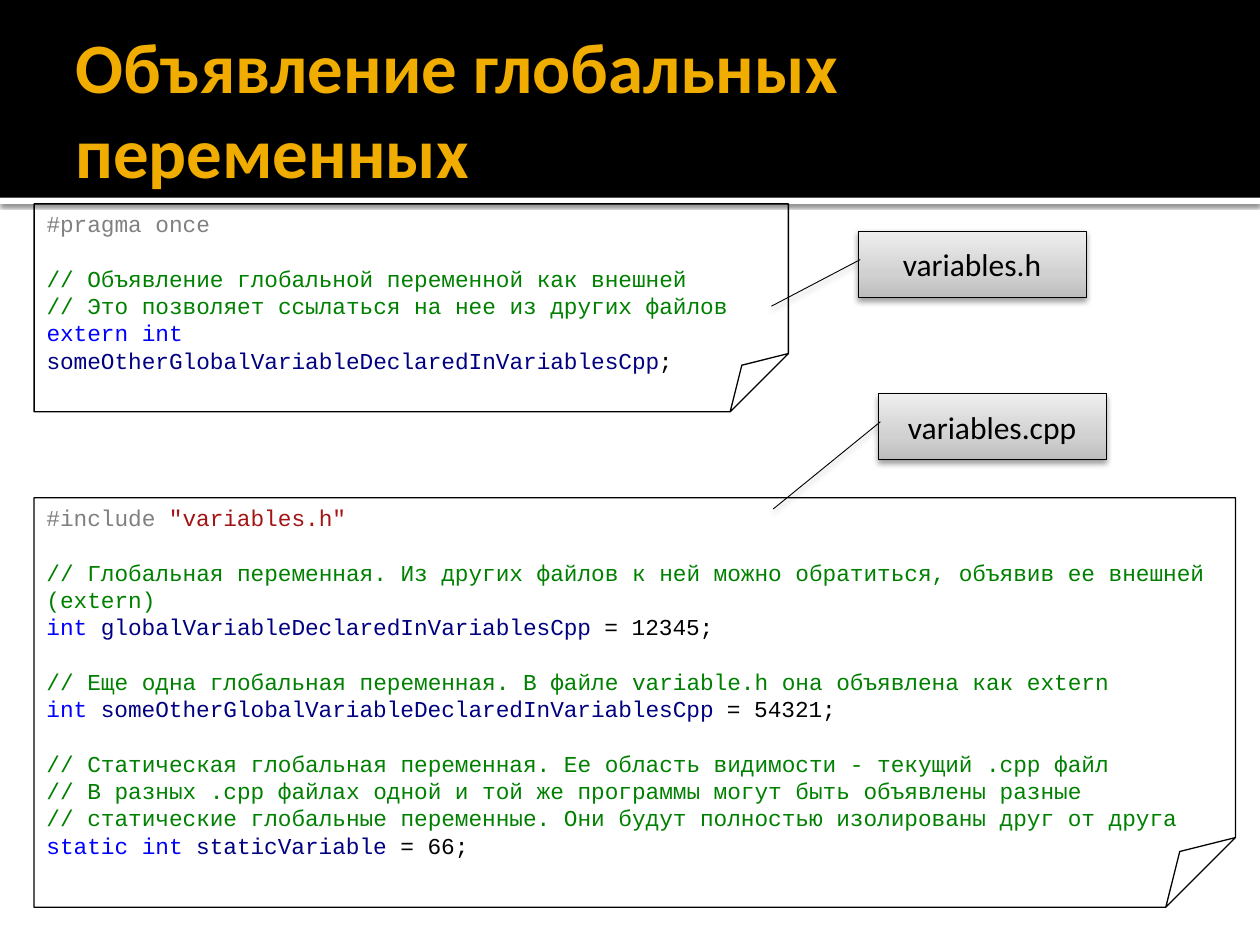
from dataclasses import dataclass

from lxml import etree
from pptx import Presentation
from pptx.dml.color import RGBColor
from pptx.enum.shapes import MSO_SHAPE
from pptx.enum.text import MSO_ANCHOR, MSO_AUTO_SIZE, PP_ALIGN
from pptx.oxml.ns import qn
from pptx.util import Pt

RECTANGLE = MSO_SHAPE.RECTANGLE
FOLDED_CORNER = MSO_SHAPE.FOLDED_CORNER
CALLOUT = MSO_SHAPE.LINE_CALLOUT_1
TOP, MIDDLE = MSO_ANCHOR.TOP, MSO_ANCHOR.MIDDLE
LEFT, CENTER = PP_ALIGN.LEFT, PP_ALIGN.CENTER
FIXED_SIZE = MSO_AUTO_SIZE.NONE


@dataclass(frozen=True)
class Theme:
    heading_font: str = "Calibri"
    code_font: str = "Courier New"
    title_size: float = 40.5
    label_size: float = 18
    code_size: float = 13
    code_pitch: float = 15.6
    black: str = "000000"
    white: str = "FFFFFF"
    title: str = "F0AD00"
    directive: str = "808080"
    string: str = "A31515"
    comment: str = "008000"
    keyword: str = "0000FF"
    name: str = "000080"
    gradient: tuple = ((0, "BDBDBD"), (35, "D1D1D1"), (100, "EEEEEE"))


@dataclass(frozen=True)
class Box:
    left: float
    top: float
    width: float
    height: float


@dataclass(frozen=True)
class Shadow:
    opacity: int
    blur: float
    distance: float


@dataclass(frozen=True)
class Line:
    spans: tuple
    gap_before: bool = False


@dataclass(frozen=True)
class Listing:
    box: Box
    fold: float
    lines: tuple


@dataclass(frozen=True)
class Label:
    box: Box
    text: str
    pointer: tuple


THEME = Theme()


def comment(text: str, gap_before: bool = False) -> Line:
    return Line(((text, THEME.comment),), gap_before)


def declaration(keywords: str, name: str, ending: str) -> Line:
    return Line(((keywords, THEME.keyword), (name, THEME.name), (ending, THEME.black)))


SHARED_NAME = "someOtherGlobalVariableDeclaredInVariablesCpp"
BANDS = (
    (Box(0, 113, 720, 3.6), THEME.white, Shadow(60, 2.5, 0.8)),
    (Box(0, 0, 720, 113), THEME.black, None),
)
LISTINGS = (
    Listing(Box(19.5, 116.5, 431, 118.8), 0.28, (
        Line((("#pragma once", THEME.directive),)),
        comment("// Объявление глобальной переменной как внешней", True),
        comment("// Это позволяет ссылаться на нее из других файлов"),
        declaration("extern int ", SHARED_NAME, ";"),
    )),
    Listing(Box(19.5, 284.4, 686.5, 234), 0.17, (
        Line((("#include ", THEME.directive), ('"variables.h"', THEME.string))),
        comment("// Глобальная переменная. Из других файлов к ней можно обратиться, "
                "объявив ее внешней (extern)", True),
        declaration("int ", "globalVariableDeclaredInVariablesCpp", " = 12345;"),
        comment("// Еще одна глобальная переменная. В файле variable.h "
                "она объявлена как extern", True),
        declaration("int ", SHARED_NAME, " = 54321;"),
        comment("// Статическая глобальная переменная. Ее область видимости - "
                "текущий .cpp файл", True),
        comment("// В разных .cpp файлах одной и той же программы могут быть объявлены разные"),
        comment("// статические глобальные переменные. Они будут полностью "
                "изолированы друг от друга"),
        declaration("static int ", "staticVariable", " = 66;"),
    )),
)
LABELS = (
    Label(Box(490.3, 132, 130.3, 38), "variables.h", (0.43, 0.01, 1.13, -0.38)),
    Label(Box(501.8, 224.7, 130.3, 38), "variables.cpp", (0.43, 0.01, 1.74, -0.46)),
)


def apply(target, values: dict) -> None:
    for key, value in values.items():
        setattr(target, key, value)


def lengths(box: Box) -> tuple:
    return Pt(box.left), Pt(box.top), Pt(box.width), Pt(box.height)


def add_node(parent, tag: str, **values):
    node = etree.SubElement(parent, qn(tag))
    for key, value in values.items():
        node.set(key, str(value))
    return node


def add_span(para, text: str, font: str, size: float, color: str, bold: bool = False) -> None:
    span = para.add_run()
    span.text = text
    apply(span.font, {"name": font, "size": Pt(size), "bold": bold})
    span.font.color.rgb = RGBColor.from_string(color)


def add_outline(shape, width: float) -> None:
    shape.line.color.rgb = RGBColor.from_string(THEME.black)
    shape.line.width = Pt(width)


def add_shadow(shape, shadow: Shadow) -> None:
    effects = shape._element.spPr.find(qn("a:effectLst"))
    outer = add_node(effects, "a:outerShdw", blurRad=int(Pt(shadow.blur)),
                     dist=int(Pt(shadow.distance)), dir=90 * 60000, rotWithShape=0)
    color = add_node(outer, "a:srgbClr", val=THEME.black)
    add_node(color, "a:alpha", val=shadow.opacity * 1000)


def fill_gradient(shape) -> None:
    shape.fill.gradient()
    shape.fill.gradient_angle = 90
    stops = shape._element.spPr.find(qn("a:gradFill")).find(qn("a:gsLst"))
    for old in list(stops):
        stops.remove(old)
    for position, color in THEME.gradient:
        add_node(add_node(stops, "a:gs", pos=position * 1000), "a:srgbClr", val=color)


def set_guides(shape, guides: dict) -> None:
    values = shape._element.spPr.find(qn("a:prstGeom")).find(qn("a:avLst"))
    for old in list(values):
        values.remove(old)
    for name, value in guides.items():
        add_node(values, "a:gd", name=name, fmla=f"val {round(value * 100000)}")


def add_shape(page, kind, box: Box):
    shape = page.shapes.add_shape(kind, *lengths(box))
    shape.shadow.inherit = False
    return shape


def draw_band(page, box: Box, color: str, shadow: Shadow | None) -> None:
    band = add_shape(page, RECTANGLE, box)
    band.fill.solid()
    band.fill.fore_color.rgb = RGBColor.from_string(color)
    band.line.fill.background()
    if shadow:
        add_shadow(band, shadow)


def draw_title(page, text: str) -> None:
    frame = page.shapes.add_textbox(*lengths(Box(36, 12.2, 648, 98.6))).text_frame
    apply(frame, {"word_wrap": True, "vertical_anchor": MIDDLE, "margin_right": Pt(3.6)})
    add_span(frame.paragraphs[0], text, THEME.heading_font, THEME.title_size, THEME.title, True)


def draw_listing(page, listing: Listing) -> None:
    sheet = add_shape(page, FOLDED_CORNER, listing.box)
    set_guides(sheet, {"adj": listing.fold})
    sheet.fill.background()
    add_outline(sheet, 0.75)
    frame = sheet.text_frame
    apply(frame, {"word_wrap": True, "vertical_anchor": TOP, "auto_size": FIXED_SIZE})
    for index, line in enumerate(listing.lines):
        para = frame.add_paragraph() if index else frame.paragraphs[0]
        apply(para, {"alignment": LEFT, "line_spacing": Pt(THEME.code_pitch),
                     "space_before": Pt(THEME.code_pitch if line.gap_before else 0)})
        for text, color in line.spans:
            add_span(para, text, THEME.code_font, THEME.code_size, color)


def draw_label(page, label: Label) -> None:
    callout = add_shape(page, CALLOUT, label.box)
    set_guides(callout, {f"adj{n}": value for n, value in enumerate(label.pointer, 1)})
    fill_gradient(callout)
    add_outline(callout, 0.5)
    add_shadow(callout, Shadow(38, 3.5, 2))
    callout.text_frame.vertical_anchor = MIDDLE
    para = callout.text_frame.paragraphs[0]
    para.alignment = CENTER
    add_span(para, label.text, THEME.heading_font, THEME.label_size, THEME.black)


deck = Presentation()
apply(deck, {"slide_width": Pt(720), "slide_height": Pt(540)})
page = deck.slides.add_slide(deck.slide_layouts[6])
for band in BANDS:
    draw_band(page, *band)
draw_title(page, "Объявление глобальных переменных")
for listing in LISTINGS:
    draw_listing(page, listing)
for label in LABELS:
    draw_label(page, label)
deck.save("out.pptx")
